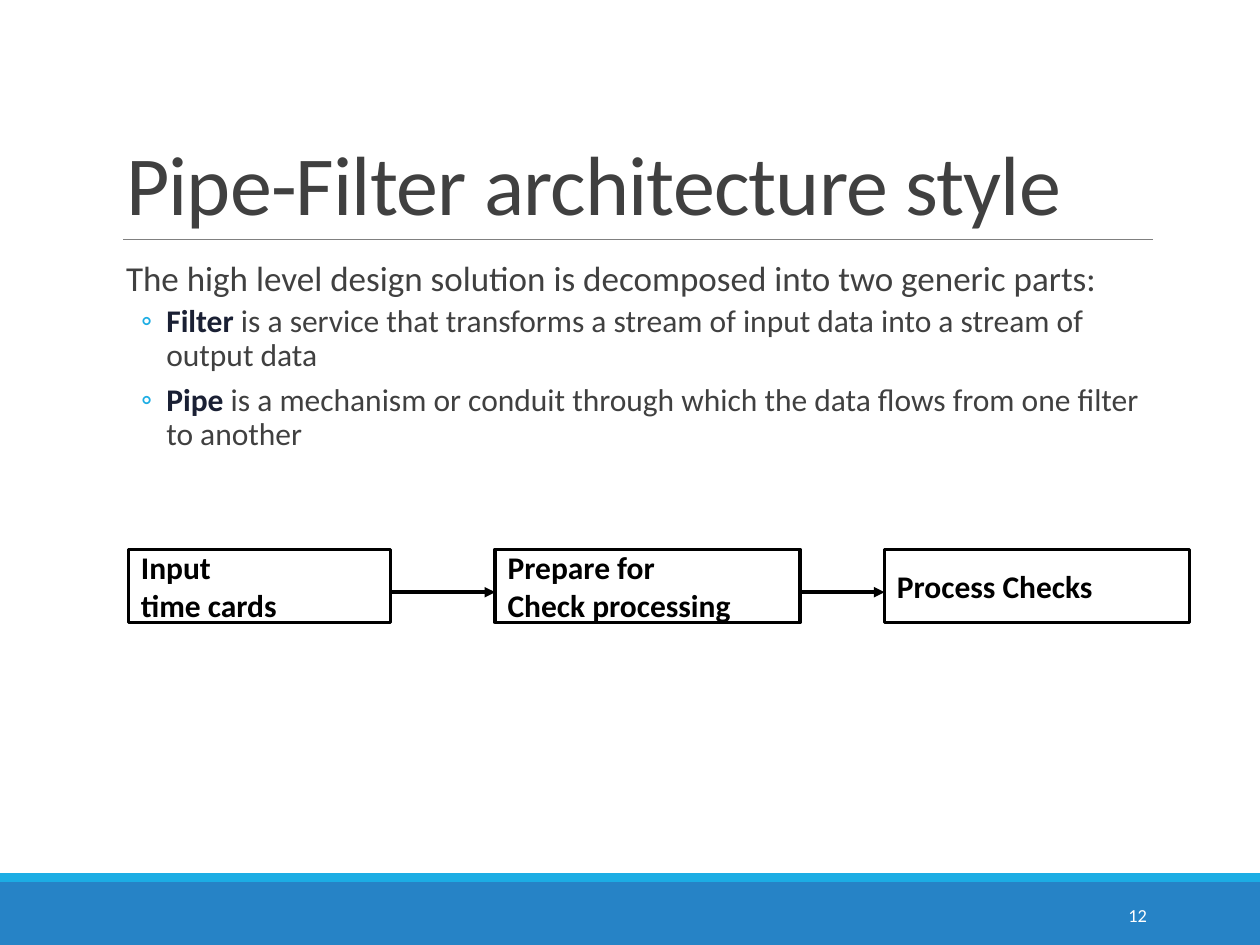
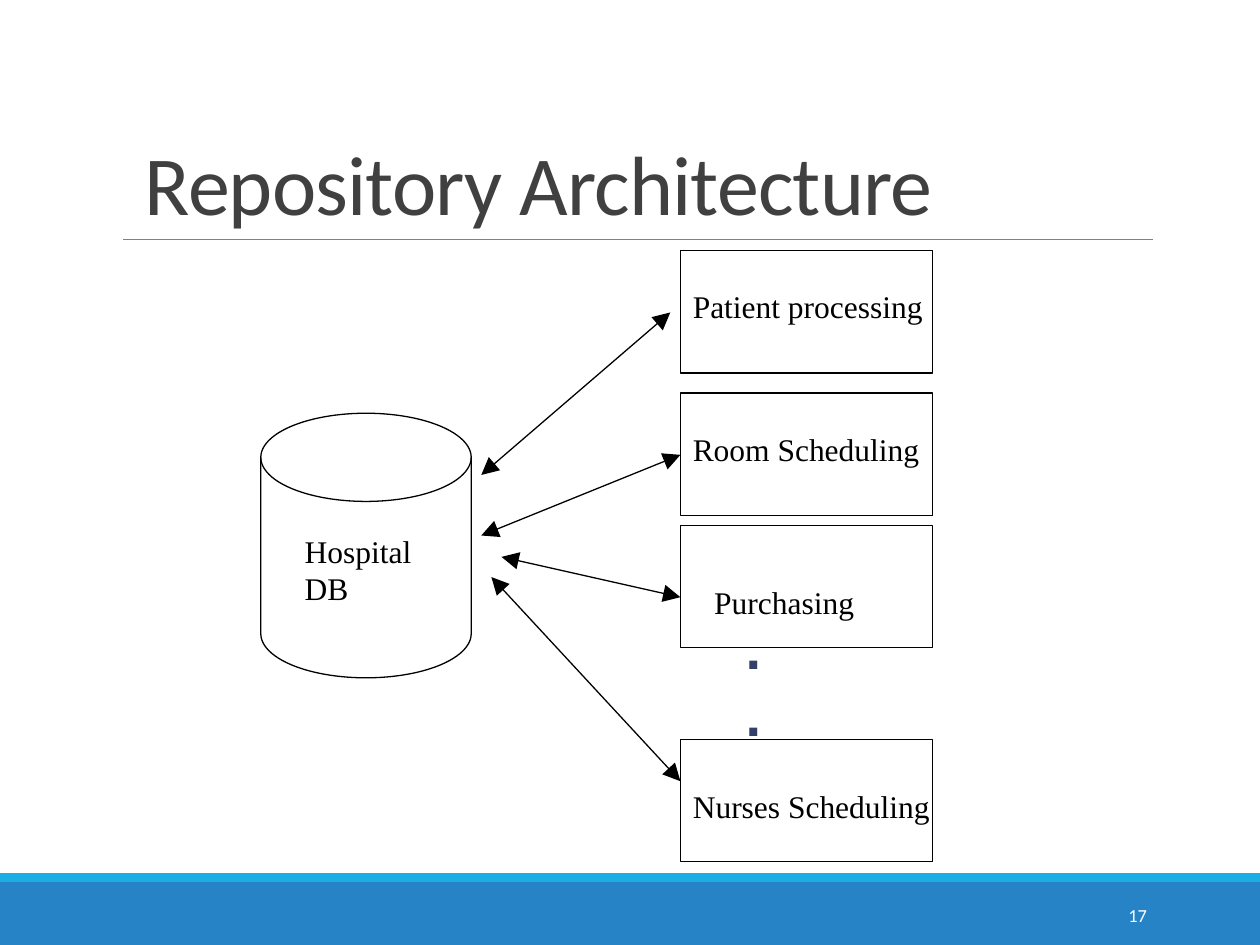
from lxml.etree import SubElement
from pptx import Presentation
from pptx.dml.color import RGBColor
from pptx.enum.shapes import MSO_CONNECTOR as Connector, MSO_SHAPE as Shape
from pptx.enum.text import MSO_ANCHOR as Anchor, MSO_AUTO_SIZE as AutoSize, PP_ALIGN as Align
from pptx.oxml.ns import qn
from pptx.util import Inches, Pt

WHITE = RGBColor(0xFF, 0xFF, 0xFF)
BLACK = RGBColor(0, 0, 0)
BAND_BLUE = RGBColor(0x26, 0x83, 0xC6)
ACCENT = RGBColor(0x1C, 0xAD, 0xE4)
RULE_GRAY = RGBColor(0x80, 0x80, 0x80)
TEXT_GRAY = RGBColor(0x40, 0x40, 0x40)
TERM_NAVY = RGBColor(0x1A, 0x20, 0x34)
DOT_NAVY = RGBColor(0x34, 0x40, 0x68)
SANS, SERIF = "Calibri", "Times New Roman"
TITLE_LAYOUT, LIST_LAYOUT = 5, 1


class SlideBuilder:
    """Draws styled elements on the current slide of a deck."""

    def __init__(self):
        self.deck = Presentation()
        self.deck.slide_width, self.deck.slide_height = Inches(10), Inches(7.5)
        self.page = None

    def start(self, layout, title, number, title_inset=0.1):
        self.page = self.deck.slides.add_slide(self.deck.slide_layouts[layout])
        self.shape(Shape.RECTANGLE, 0, 7, 10, 0.5, fill=BAND_BLUE)
        self.shape(Shape.RECTANGLE, 0, 6.93, 10, 0.07, fill=ACCENT)
        self.line((0.98, 1.9), (9.15, 1.9), RULE_GRAY, 0.5)
        self.title(title, title_inset)
        footer = self.label(8.12, 7.06, 1.08, 0.4, str(number), SANS, 10.5, WHITE, wrap=True)
        footer.text_frame.vertical_anchor = Anchor.MIDDLE
        footer.text_frame.paragraphs[0].alignment = Align.RIGHT

    def place(self, box, left, top, width, height):
        box.left, box.top = Inches(left), Inches(top)
        box.width, box.height = Inches(width), Inches(height)

    def style(self, span, font, size, color, bold=False):
        span.font.name, span.font.size = font, Pt(size)
        span.font.color.rgb, span.font.bold = color, bold

    def title(self, text, inset):
        box = self.page.shapes.title
        self.place(box, 0.9, 0.31, 8.25, 1.59)
        frame = box.text_frame
        frame.text = text
        frame.auto_size, frame.vertical_anchor = AutoSize.NONE, Anchor.BOTTOM
        frame.margin_left = Inches(inset)
        para = frame.paragraphs[0]
        para.alignment, para.line_spacing = Align.LEFT, 0.85
        span = para.runs[0]
        self.style(span, SANS, 48, TEXT_GRAY)
        span.font._element.set("spc", "-50")

    def body(self, intro, items):
        box = self.page.placeholders[1]
        self.place(box, 0.9, 2.02, 8.25, 4.4)
        frame = box.text_frame
        frame.auto_size, frame.vertical_anchor = AutoSize.NONE, Anchor.TOP
        frame.margin_left = frame.margin_right = 0
        para = frame.paragraphs[0]
        para.text = intro
        self.indent(para, 0.1, 0)
        SubElement(para._p.pPr, qn("a:buNone"))
        self.spacing(para, 0, 2)
        self.style(para.runs[0], SANS, 20, TEXT_GRAY)
        for term, meaning in items:
            para = frame.add_paragraph()
            para.level = 1
            self.indent(para, 0.42, -0.2)
            self.bullet(para, "◦")
            self.spacing(para, 2, 4)
            for text, color, bold in ((term, TERM_NAVY, True), (meaning, TEXT_GRAY, False)):
                span = para.add_run()
                span.text = text
                self.style(span, SANS, 18, color, bold)

    def indent(self, para, left, first):
        properties = para._p.get_or_add_pPr()
        properties.set("marL", str(Inches(left)))
        properties.set("indent", str(Inches(first)))

    def bullet(self, para, mark):
        properties = para._p.get_or_add_pPr()
        color = SubElement(properties, qn("a:buClr"))
        SubElement(color, qn("a:srgbClr"), val=str(ACCENT))
        SubElement(properties, qn("a:buFont"), typeface=SANS)
        SubElement(properties, qn("a:buChar"), char=mark)

    def spacing(self, para, before, after):
        para.line_spacing = 0.9
        para.space_before, para.space_after = Pt(before), Pt(after)

    def shape(self, kind, left, top, width, height, fill=None, line_width=None):
        box = self.page.shapes.add_shape(
            kind, Inches(left), Inches(top), Inches(width), Inches(height))
        box.shadow.inherit = False
        if fill is None:
            box.fill.background()
        else:
            box.fill.solid()
            box.fill.fore_color.rgb = fill
        if line_width is None:
            box.line.fill.background()
        else:
            box.line.color.rgb, box.line.width = BLACK, Pt(line_width)
        return box

    def fill_text(self, frame, text, font, size, color, bold=False):
        frame.text = text
        for para in frame.paragraphs:
            para.alignment = Align.LEFT
            for span in para.runs:
                self.style(span, font, size, color, bold)

    def step(self, left, top, width, height, text):
        box = self.shape(Shape.RECTANGLE, left, top, width, height, WHITE, 2)
        box.text_frame.vertical_anchor = Anchor.MIDDLE
        self.fill_text(box.text_frame, text, SANS, 18, BLACK, True)

    def label(self, left, top, width, height, text, font=SERIF, size=18,
              color=BLACK, bold=False, wrap=False):
        box = self.page.shapes.add_textbox(
            Inches(left), Inches(top), Inches(width), Inches(height))
        frame = box.text_frame
        frame.word_wrap = wrap
        frame.auto_size = AutoSize.NONE if wrap else AutoSize.SHAPE_TO_FIT_TEXT
        self.fill_text(frame, text, font, size, color, bold)
        return box

    def line(self, start, end, color=BLACK, width=0.75, heads=(), head_size="med"):
        link = self.page.shapes.add_connector(
            Connector.STRAIGHT, *(Inches(value) for value in (*start, *end)))
        link.line.color.rgb, link.line.width = color, Pt(width)
        for head in heads:
            SubElement(link.line._get_or_add_ln(), qn(f"a:{head}"),
                       type="triangle", w=head_size, len=head_size)
        SubElement(link._element.spPr, qn("a:effectLst"))


def pipe_filter_slide(builder):
    builder.start(LIST_LAYOUT, "Pipe-Filter architecture style", 12)
    builder.body(
        "The high level design solution is decomposed into two generic parts:",
        [("Filter", " is a service that transforms a stream of input data into a stream of output data"),
         ("Pipe ", "is a mechanism or conduit through which the data flows from one filter to another")])
    filters = [(1.02, 2.08, "Input\ntime cards"),
               (3.93, 2.42, "Prepare for\nCheck processing"),
               (7.02, 2.42, "Process Checks")]
    for left, width, text in filters:
        builder.step(left, 4.36, width, 0.58, text)
    for (left, width, _), (next_left, _, _) in zip(filters, filters[1:]):
        builder.line((left + width, 4.7), (next_left, 4.7), width=2, heads=["tailEnd"])


def repository_slide(builder):
    builder.start(TITLE_LAYOUT, "Repository Architecture", 17, title_inset=0.25)
    builder.shape(Shape.FLOWCHART_MAGNETIC_DISK, 2.07, 3.28, 1.67, 2.1, line_width=0.75)
    builder.label(2.32, 4.17, 1.05, 0.68, "Hospital\nDB")
    builder.label(5.82, 4.82, 0.33, 1.13, ".\n.", "Arial", 32, DOT_NAVY, True)
    services = [
        (1.99, "Patient processing", 5.4, 2.23, 2.03, (3.82, 3.77), (5.32, 2.48)),
        (3.12, "Room Scheduling", 5.4, 3.36, 2, (3.82, 4.25), (5.4, 3.61)),
        (4.17, "Purchasing", 5.57, 4.58, 1.38, (3.98, 4.42), (5.4, 4.74)),
        (5.87, "Nurses Scheduling", 5.4, 6.2, 2.15, (3.9, 4.58), (5.4, 6.2))]
    for top, name, name_left, name_top, name_width, start, end in services:
        builder.shape(Shape.RECTANGLE, 5.4, top, 2, 0.97, line_width=0.75)
        builder.label(name_left, name_top, name_width, 0.39, name)
        builder.line(start, end, heads=["headEnd", "tailEnd"], head_size="lg")


def main():
    builder = SlideBuilder()
    pipe_filter_slide(builder)
    repository_slide(builder)
    builder.deck.save("out.pptx")


if __name__ == "__main__":
    main()
